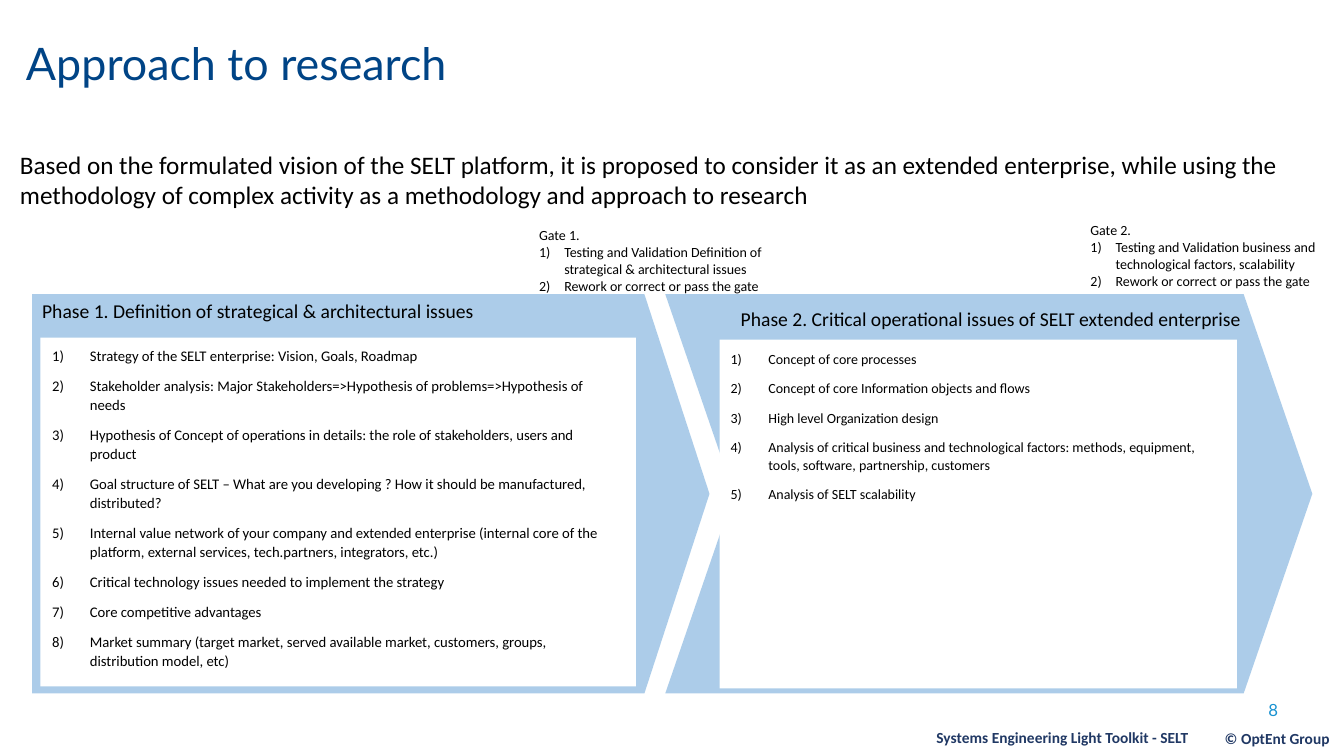
from lxml.etree import SubElement
from pptx import Presentation
from pptx.dml.color import RGBColor
from pptx.enum.shapes import MSO_SHAPE
from pptx.enum.text import MSO_ANCHOR, PP_ALIGN
from pptx.oxml.ns import qn
from pptx.util import Pt

WHITE = RGBColor(0xFF, 0xFF, 0xFF)
BLACK = RGBColor(0x00, 0x00, 0x00)
PHASE_BLUE = RGBColor(0x5B, 0x9B, 0xD5)
TITLE_BLUE = RGBColor(0x00, 0x44, 0x86)
NUMBER_BLUE = RGBColor(0x19, 0x92, 0xD1)
FOOTER_NAVY = RGBColor(0x20, 0x38, 0x64)

PHASE_1_STEPS = [
    "Strategy of the SELT enterprise: Vision, Goals, Roadmap",
    "Stakeholder analysis: Major Stakeholders=>Hypothesis of problems=>Hypothesis of needs",
    "Hypothesis of Concept of operations in details: the role of stakeholders, users and product",
    "Goal structure of SELT – What are you developing ? How it should be manufactured, distributed?",
    "Internal value network of your company and extended enterprise (internal core of the "
    "platform, external services, tech.partners, integrators, etc.)",
    "Critical technology issues needed to implement the strategy",
    "Core competitive advantages",
    "Market summary (target market, served available market, customers, groups, "
    "distribution model, etc)",
]
PHASE_2_STEPS = [
    "Concept of core processes",
    "Concept of core Information objects and flows",
    "High level Organization design",
    "Analysis of critical business and technological factors: methods, equipment, tools, "
    "software, partnership, customers",
    "Analysis of SELT scalability",
]
GATE_OUTCOME = "Rework or correct or pass the gate"


def points(box):
    return [Pt(length) for length in box]


def set_font(paragraph, size, color=BLACK, name="Calibri", bold=False):
    font = paragraph.font
    font.name, font.size, font.bold = name, Pt(size), bold
    font.color.rgb = color


def number_paragraph(paragraph, indent, tab=None):
    properties = paragraph._p.get_or_add_pPr()
    properties.set("marL", str(Pt(indent)))
    properties.set("indent", str(-Pt(indent)))
    SubElement(properties, qn("a:buFont"), typeface="+mj-lt")
    SubElement(properties, qn("a:buAutoNum"), type="arabicParenR")
    if tab:
        tabs = SubElement(properties, qn("a:tabLst"))
        SubElement(tabs, qn("a:tab"), pos=str(Pt(tab)), algn="l")


def add_text_frame(slide, box):
    frame = slide.shapes.add_textbox(*points(box)).text_frame
    frame.word_wrap = True
    return frame


def add_label(slide, box, text, size, align=PP_ALIGN.LEFT, **font):
    frame = add_text_frame(slide, box)
    paragraph = frame.paragraphs[0]
    paragraph.text = text
    paragraph.alignment = align
    set_font(paragraph, size, **font)
    return frame


def add_steps(slide, box, steps, size):
    frame = add_text_frame(slide, box)
    for index, step in enumerate(steps):
        paragraph = frame.add_paragraph() if index else frame.paragraphs[0]
        paragraph.text = step
        paragraph.line_spacing = 1.07
        paragraph.space_after = Pt(8)
        number_paragraph(paragraph, 27, tab=36)
        set_font(paragraph, size)


def add_gate(slide, box, heading, test):
    frame = add_label(slide, box, heading, 10)
    for item in (test, GATE_OUTCOME):
        paragraph = frame.add_paragraph()
        paragraph.text = item
        number_paragraph(paragraph, 18)
        set_font(paragraph, 10)


def add_block(slide, kind, box, color, adjustment=None, alpha=None):
    shape = slide.shapes.add_shape(kind, *points(box))
    shape.shadow.inherit = False
    shape.fill.solid()
    shape.fill.fore_color.rgb = color
    shape.line.fill.background()
    if adjustment:
        shape.adjustments[0] = adjustment
    if alpha:
        color_element = shape._element.spPr.find(".//" + qn("a:srgbClr"))
        SubElement(color_element, qn("a:alpha"), val=str(alpha * 1000))


def main():
    presentation = Presentation()
    presentation.slide_width, presentation.slide_height = Pt(960), Pt(540)
    slide = presentation.slides.add_slide(presentation.slide_layouts[6])

    # Title and statement
    title = add_label(slide, (11.5, 7.9, 648, 77.8), "Approach to research", 32,
                      color=TITLE_BLUE, name="Lato")
    title.vertical_anchor = MSO_ANCHOR.MIDDLE
    title.paragraphs[0].line_spacing = 0.9
    add_label(slide, (7.2, 103, 943.2, 59),
              "Based on the formulated vision of the SELT platform, it is proposed to consider it "
              "as an extended enterprise, while using the methodology of complex activity as a "
              "methodology and approach to research", 18)

    # Phase 1
    add_block(slide, MSO_SHAPE.PENTAGON, (23, 210.2, 483.8, 285.1), PHASE_BLUE, 0.163, 50)
    add_block(slide, MSO_SHAPE.RECTANGLE, (28.8, 241.2, 425.5, 249.1), WHITE)
    add_label(slide, (23, 210.2, 404.6, 24.5),
              "Phase 1. Definition of strategical & architectural issues", 14)
    add_steps(slide, (30.2, 243.4, 417.6, 240.5), PHASE_1_STEPS, 10.5)

    # Phase 2
    add_block(slide, MSO_SHAPE.CHEVRON, (475.2, 210.2, 462.2, 285.1), PHASE_BLUE, 0.172, 50)
    add_block(slide, MSO_SHAPE.RECTANGLE, (514.1, 242.6, 369.4, 249.1), WHITE)
    add_label(slide, (522, 216, 404.6, 24.5),
              "Phase 2. Critical operational issues of SELT extended enterprise", 14)
    add_steps(slide, (514.8, 246.2, 360, 116.6), PHASE_2_STEPS, 10)

    # Gates
    add_gate(slide, (378, 158.4, 208.8, 55.4), "Gate 1.",
             "Testing and Validation Definition of strategical & architectural issues")
    add_gate(slide, (771.8, 154.8, 187.9, 55.4), "Gate 2.",
             "Testing and Validation business and technological factors, scalability")

    # Footer
    add_label(slide, (857.5, 496.1, 62.6, 28.1), "8", 12, PP_ALIGN.RIGHT,
              color=NUMBER_BLUE, name="Lato")
    add_label(slide, (92.2, 516.2, 763.9, 20.9), "Systems Engineering Light Toolkit - SELT", 11,
              PP_ALIGN.RIGHT, color=FOOTER_NAVY, bold=True)
    add_label(slide, (864.7, 517, 92.2, 20.9), "© OptEnt Group", 11,
              PP_ALIGN.RIGHT, color=FOOTER_NAVY, bold=True)

    presentation.save("out.pptx")


if __name__ == "__main__":
    main()
